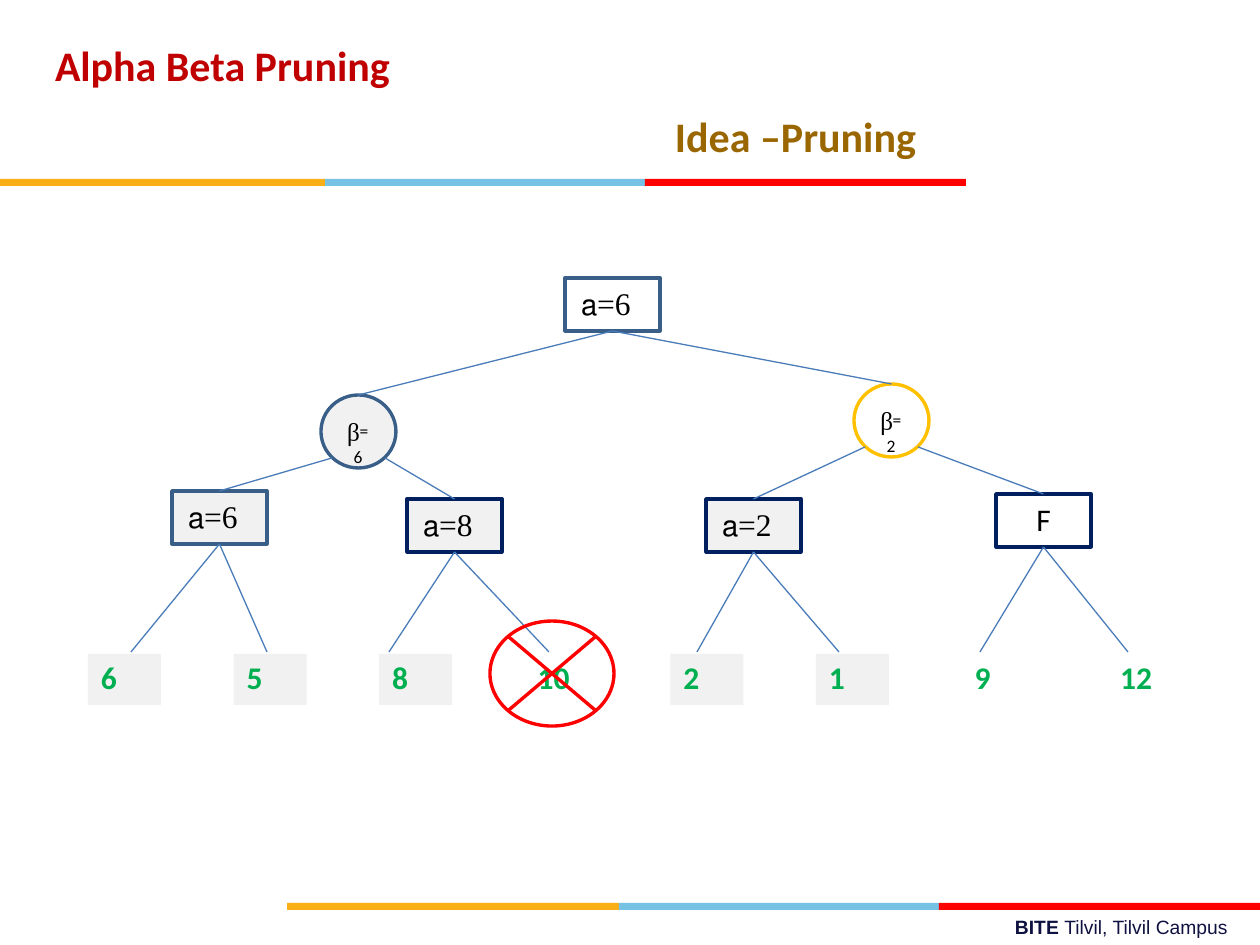
"""Build the alpha-beta pruning slide: a game tree with one pruned leaf."""
from lxml import etree
from pptx import Presentation
from pptx import util as u
from pptx.dml.color import RGBColor
from pptx.enum import shapes, text
from pptx.oxml.ns import qn

THEME = {
    "title": "C00000", "subtitle": "996600", "ink": "000000", "leaf": "00AF50",
    "footer": "0F1141", "visited": "F1F1F1", "steel": "395E88", "navy": "001F5F",
    "gold": "FFC000", "edge": "497CB9", "pruned": "FF0000",
    "bars": ("FBAF17", "76C2E4", "FF0000"),
    "heading_size": 24, "node_size": 18, "beta_size": 10, "footer_size": 11,
    "outline": 1.92, "edge_width": 0.75,
    "sans": "Calibri", "serif": "Times New Roman", "plain": "Arial",
}
EMU_PER_PX = 914400 / 126
SLIDE = (1260, 945)
BAR_HEIGHT = 7
BARS = [(179, (0, 325, 645, 966)), (903, (287, 619, 939, 1260))]
TITLE = ("Alpha Beta Pruning", (55, 39, 350, 54))
SUBTITLE = ("Idea –Pruning", (675, 110, 260, 54))
FOOTER = (("BITE ", True), ("Tilvil, Tilvil Campus", False))
FOOTER_BOX = (1015, 914, 245, 25)

BOX = (95, 53)
BOXES = {
    "root": ("𝖺=6", 565, 278, "steel", None),
    "A": ("𝖺=6", 172, 491, "steel", "visited"),
    "B": ("𝖺=8", 407, 499, "navy", "visited"),
    "C": ("𝖺=2", 706, 499, "navy", "visited"),
    "F": ("F", 996, 494, "navy", None),
}
CIRCLE = (75, 73)
CIRCLES = {
    "left": ("6", 321, 395, "steel", "visited", "AB"),
    "right": ("2", 854, 384, "gold", None, "CF"),
}
LEAVES = [
    ("6", "A", 131, True), ("5", "A", 267, True),
    ("8", "B", 389, True), ("10", "B", 549, False),
    ("2", "C", 697, True), ("1", "C", 839, True),
    ("9", "F", 980, False), ("12", "F", 1128, False),
]
LEAF_LEFT, LEAF_PITCH, LEAF_TOP = 88, 145.6, 654
LEAF = (73, 51)
PRUNED = (490, 621, 124, 105)


def px(*values):
    return [u.Emu(round(value * EMU_PER_PX)) for value in values]


def color(name):
    return RGBColor.from_string(THEME.get(name, name))


def add_form(slide, preset, box, fill=None, outline=None):
    form = slide.shapes.add_shape(preset, *px(*box))
    form.shadow.inherit = False
    if fill:
        form.fill.solid()
        form.fill.fore_color.rgb = color(fill)
    else:
        form.fill.background()
    if outline:
        form.line.color.rgb = color(outline)
        form.line.width = u.Pt(THEME["outline"])
    else:
        form.line.fill.background()
    return form


def set_frame(frame, left=0, top=1, wrap=True):
    frame.word_wrap = wrap
    frame.auto_size = text.MSO_AUTO_SIZE.NONE
    frame.vertical_anchor = text.MSO_ANCHOR.TOP
    frame.margin_left, frame.margin_top, frame.margin_right, frame.margin_bottom = px(left, top, 0, 0)
    frame.paragraphs[0].alignment = text.PP_ALIGN.LEFT
    return frame.paragraphs[0]


def add_label(slide, box, wrap=True):
    return set_frame(slide.shapes.add_textbox(*px(*box)).text_frame, wrap=wrap)


def add_run(paragraph, words, size, face, tint, bold=False):
    run = paragraph.add_run()
    run.text = words
    run.font.size = u.Pt(THEME[size])
    run.font.name = THEME[face]
    run.font.color.rgb = color(tint)
    run.font.bold = bold


def add_edge(slide, start, end):
    edge = slide.shapes.add_connector(shapes.MSO_CONNECTOR.STRAIGHT, *px(*start, *end))
    edge.line.color.rgb = color("edge")
    edge.line.width = u.Pt(THEME["edge_width"])
    etree.SubElement(edge._element.spPr, qn("a:effectLst"))


def box_port(key, bottom=False):
    _, left, top, *_ = BOXES[key]
    return left + BOX[0] / 2, top + BOX[1] * bottom


def add_headings(slide):
    for top, stops in BARS:
        for left, right, tint in zip(stops, stops[1:], THEME["bars"]):
            add_form(slide, shapes.MSO_SHAPE.RECTANGLE, (left, top, right - left, BAR_HEIGHT), tint)
    title = slide.shapes.title
    title.left, title.top, title.width, title.height = px(*TITLE[1])
    add_run(set_frame(title.text_frame), TITLE[0], "heading_size", "sans", "title", True)
    add_run(add_label(slide, SUBTITLE[1]), SUBTITLE[0], "heading_size", "sans", "subtitle", True)
    footer = add_label(slide, FOOTER_BOX, wrap=False)
    for words, bold in FOOTER:
        add_run(footer, words, "footer_size", "plain", "footer", bold)


def add_boxes(slide):
    for words, left, top, outline, fill in BOXES.values():
        box = add_form(slide, shapes.MSO_SHAPE.RECTANGLE, (left, top, *BOX), fill, outline)
        centred = words == "F"
        paragraph = set_frame(box.text_frame, 0 if centred else 16, 6)
        if centred:
            paragraph.alignment = text.PP_ALIGN.CENTER
        add_run(paragraph, words, "node_size", "sans" if centred else "serif", "ink")


def add_circles(slide):
    for value, left, top, outline, fill, children in CIRCLES.values():
        add_form(slide, shapes.MSO_SHAPE.OVAL, (left, top, *CIRCLE), fill, outline)
        beta = add_label(slide, (left + 22, top, 30, 76))
        beta.alignment = text.PP_ALIGN.CENTER
        add_run(beta, "ᵦ", "heading_size", "serif", "ink")
        add_run(beta, "=", "beta_size", "sans", "ink")
        score = slide.shapes[-1].text_frame.add_paragraph()
        score.alignment = text.PP_ALIGN.CENTER
        add_run(score, value, "beta_size", "sans", "ink")
        add_edge(slide, box_port("root", True), (left + CIRCLE[0] / 2, top))
        for child, offset in zip(children, (11, 64)):
            add_edge(slide, (left + offset, top + 63), box_port(child))


def add_leaves(slide):
    for index, (value, parent, tip, visited) in enumerate(LEAVES):
        left = LEAF_LEFT + index * LEAF_PITCH
        add_edge(slide, box_port(parent, True), (tip, LEAF_TOP - 2))
        if visited:
            add_form(slide, shapes.MSO_SHAPE.RECTANGLE, (left, LEAF_TOP, *LEAF), "visited")
        add_run(add_label(slide, (left + 13, LEAF_TOP + 3, 40, 42)), value,
                "node_size", "sans", "leaf", True)
    add_form(slide, shapes.MSO_SHAPE.FLOWCHART_SUMMING_JUNCTION, PRUNED, outline="pruned")


def main():
    deck = Presentation()
    deck.slide_width, deck.slide_height = px(*SLIDE)
    slide = deck.slides.add_slide(deck.slide_layouts[5])
    add_headings(slide)
    add_boxes(slide)
    add_circles(slide)
    add_leaves(slide)
    deck.save("out.pptx")


if __name__ == "__main__":
    main()
